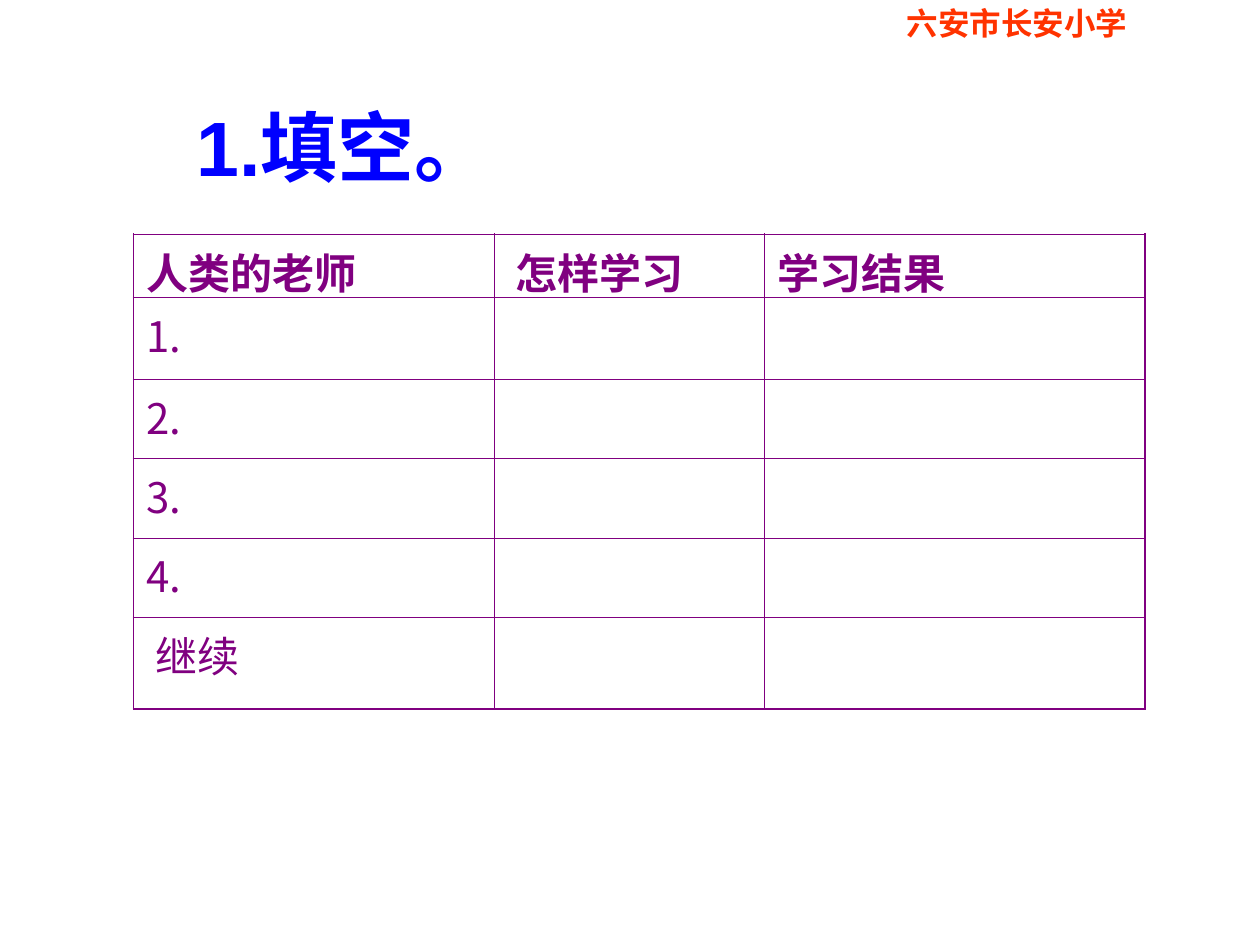
from lxml import etree
from pptx import Presentation
from pptx.dml.color import RGBColor
from pptx.enum.text import MSO_ANCHOR, PP_ALIGN
from pptx.oxml.ns import qn
from pptx.util import Inches, Pt

COLORS = {"school": "FF3300", "title": "0000FF", "table": "800080"}
LATIN, CJK = "Arial", "Noto Sans CJK SC"

# Content: each cell is a list of (text, bold) runs
SCHOOL = "六安市长安小学"
TITLE = "1.填空。"
ROWS = [
    [[("人类的老师", True)], [(" ", False), ("怎样学习", True)], [("学习结果", True)]],
    [[("1.", False)], [], []],
    [[("2.", False)], [], []],
    [[("3.", False)], [], []],
    [[("4.", False)], [], []],
    [[(" 继续", False)], [], []],
]
COLUMN_WIDTHS = [2.86, 2.15, 3.02]
ROW_HEIGHTS = [0.5, 0.65, 0.63, 0.63, 0.63, 0.73]
OUTER_LINE, INNER_LINE = 1.08, 0.45


def add_run(paragraph, text, size, color, bold, latin):
    run = paragraph.add_run()
    run.text = text
    font = run.font
    font.size, font.bold, font.name = Pt(size), bold, latin
    font.color.rgb = RGBColor.from_string(COLORS[color])
    etree.SubElement(run._r.get_or_add_rPr(), qn("a:ea"), typeface=CJK)


def add_heading(slide, box, text, size, color, align):
    frame = slide.shapes.add_textbox(*map(Inches, box)).text_frame
    frame.word_wrap = True
    frame.vertical_anchor = MSO_ANCHOR.MIDDLE
    frame.margin_top, frame.margin_bottom = Inches(0.03), Inches(0.07)
    frame.paragraphs[0].alignment = align
    add_run(frame.paragraphs[0], text, size, color, True, LATIN)


def set_borders(cell, widths):
    properties = cell._tc.get_or_add_tcPr()
    for position, (side, width) in enumerate(widths.items()):
        line = etree.Element(qn(f"a:ln{side}"), w=str(Pt(width)))
        fill = etree.SubElement(line, qn("a:solidFill"))
        etree.SubElement(fill, qn("a:srgbClr"), val=COLORS["table"])
        properties.insert(position, line)


presentation = Presentation()
presentation.slide_width, presentation.slide_height = Inches(10), Inches(7.5)
slide = presentation.slides.add_slide(presentation.slide_layouts[6])

# School name and exercise title
add_heading(slide, (6.45, 0, 3.24, 0.4), SCHOOL, 18, "school", PP_ALIGN.CENTER)
add_heading(slide, (1.46, 0.76, 4.42, 0.84), TITLE, 44, "title", PP_ALIGN.LEFT)

# Exercise table
last_row, last_column = len(ROWS) - 1, len(COLUMN_WIDTHS) - 1
exercise = slide.shapes.add_table(
    len(ROWS), len(COLUMN_WIDTHS), Inches(1.06), Inches(1.86),
    Inches(sum(COLUMN_WIDTHS)), Inches(sum(ROW_HEIGHTS))).table
exercise.first_row = exercise.horz_banding = False
for column, width in zip(exercise.columns, COLUMN_WIDTHS):
    column.width = Inches(width)
for row, height in zip(exercise.rows, ROW_HEIGHTS):
    row.height = Inches(height)

for r, row in enumerate(ROWS):
    for c, runs in enumerate(row):
        cell = exercise.cell(r, c)
        cell.fill.background()
        if r == 0:
            cell.margin_bottom = 0
        for text, bold in runs:
            add_run(cell.text_frame.paragraphs[0], text, 24, "table", bold, CJK)
        on_edge = {"L": c == 0, "R": c == last_column, "T": r == 0, "B": r == last_row}
        set_borders(cell, {side: OUTER_LINE if edge else INNER_LINE
                           for side, edge in on_edge.items()})

presentation.save("out.pptx")
